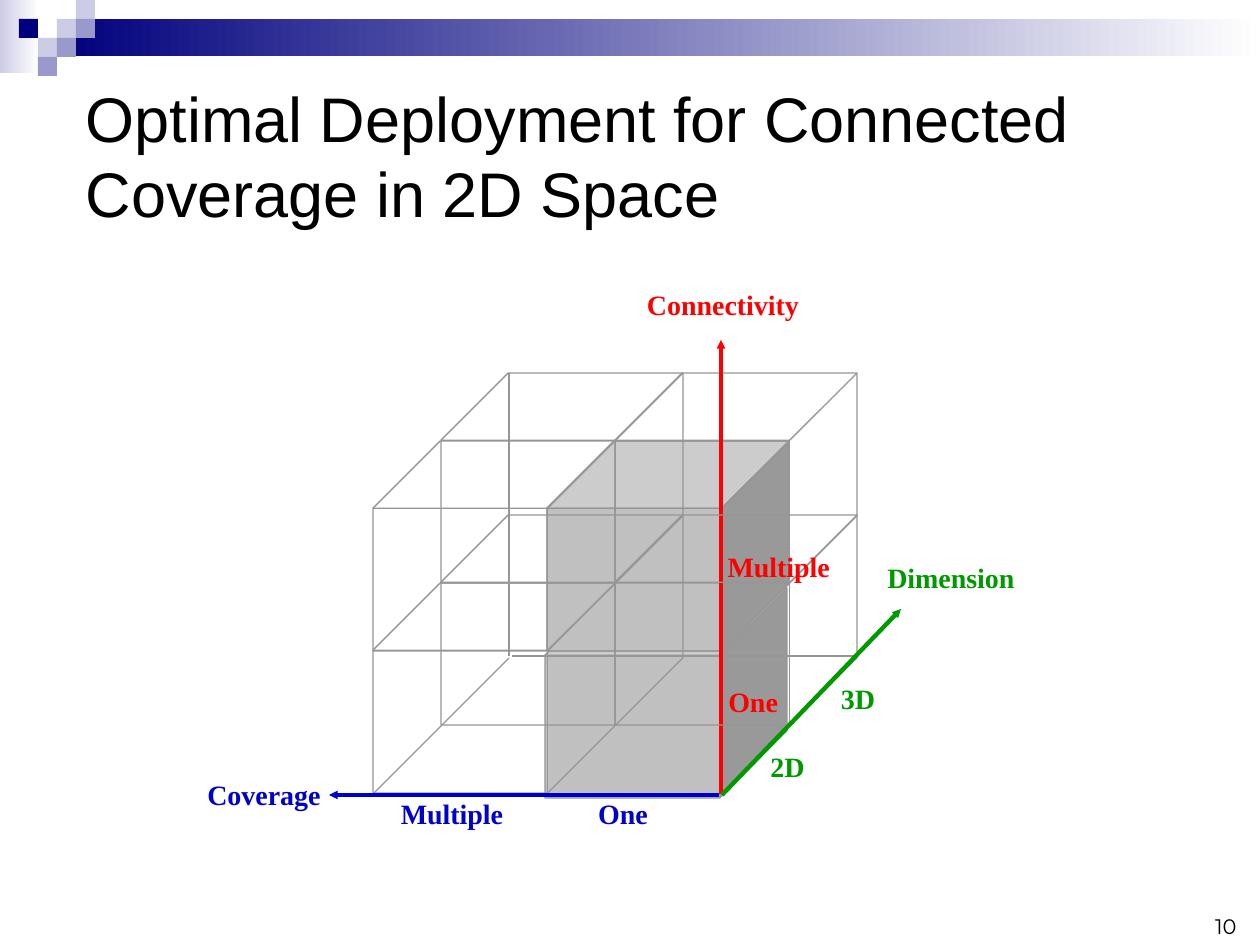
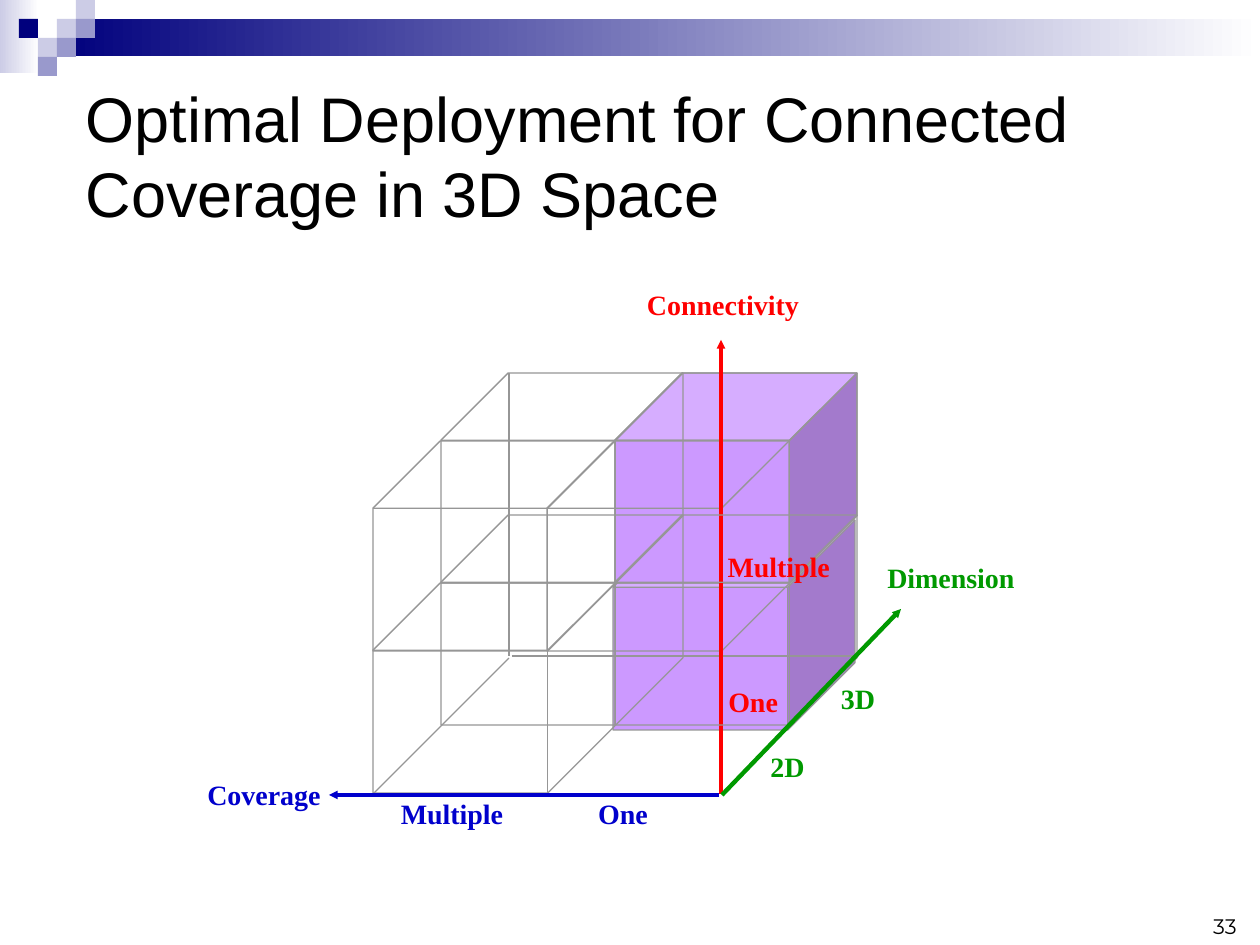
from typing import NamedTuple

import lxml.etree
import pptx
import pptx.dml.color
import pptx.dml.fill
import pptx.enum.shapes
import pptx.enum.text
import pptx.oxml.ns
import pptx.presentation
import pptx.slide
import pptx.text.text
import pptx.util

PX = 914400 / 126
SLIDE_WIDTH, SLIDE_HEIGHT = 1260, 945
TITLE_ONLY_LAYOUT = 5

BLACK = "000000"
NAVY = "00007D"
PERIWINKLE = "9999CC"
LAVENDER = "CCCCE6"
WHITE = "FFFFFF"
EDGE_GREY = "969696"
CONNECTIVITY_RED = "FF0000"
COVERAGE_BLUE = "0000CC"
DIMENSION_GREEN = "009900"

SQUARE = 19
CUBE_WIDTH, CUBE_HEIGHT = 242, 210
CUBE_DEPTH_RATIO = 0.32
COVERAGE_STEP = 174
CONNECTIVITY_STEP = 142
DEPTH_STEP = 68
ORIGIN_LEFT, ORIGIN_TOP = 373, 583

ALIGN = pptx.enum.text.PP_ALIGN
ANCHOR = pptx.enum.text.MSO_ANCHOR
SHAPE = pptx.enum.shapes.MSO_SHAPE


class Box(NamedTuple):
    left: int
    top: int
    width: int
    height: int


class Square(NamedTuple):
    column: int
    row: int
    color: str


class Cell(NamedTuple):
    coverage: int
    connectivity: int
    depth: int


class Line(NamedTuple):
    start: tuple[int, int]
    end: tuple[int, int]
    color: str = EDGE_GREY
    weight: float = 0.75
    arrow: bool = False


class Label(NamedTuple):
    text: str
    box: Box
    color: str
    alignment: ALIGN = ALIGN.CENTER


class CubeSlide(NamedTuple):
    title: str
    number: int
    highlight_depth: int
    highlight_color: str


SQUARES = [
    Square(3, 1, LAVENDER),
    Square(4, 0, LAVENDER),
    Square(4, 1, PERIWINKLE),
    Square(2, 2, LAVENDER),
    Square(1, 1, NAVY),
    Square(3, 2, PERIWINKLE),
    Square(2, 3, PERIWINKLE),
]

BACK_CELLS = [
    Cell(0, 0, 1),
    Cell(0, 1, 1),
    Cell(1, 1, 1),
    Cell(0, 0, 0),
    Cell(0, 1, 0),
    Cell(1, 1, 0),
]
FRONT_CELL = Cell(1, 0, 1)

HIDDEN_EDGES = [
    Line((509, 373), (509, 656)),
    Line((512, 656), (858, 656)),
    Line((509, 658), (373, 794)),
]
CONNECTIVITY_AXIS = Line((721, 794), (721, 340), CONNECTIVITY_RED, 2.5, True)
DIMENSION_AXIS = Line((722, 795), (901, 609), DIMENSION_GREEN, 2.5, True)
COVERAGE_AXIS = Line((719, 795), (329, 795), COVERAGE_BLUE, 2.5, True)

LABELS = [
    Label("Coverage", Box(201, 763, 126, 63), COVERAGE_BLUE),
    Label("Connectivity", Box(643, 273, 160, 63), CONNECTIVITY_RED),
    Label("Dimension", Box(881, 546, 140, 63), DIMENSION_GREEN),
    Label("3D", Box(816, 672, 84, 53), DIMENSION_GREEN),
    Label("2D", Box(742, 735, 91, 63), DIMENSION_GREEN),
    Label("Multiple", Box(397, 787, 110, 53), COVERAGE_BLUE),
    Label("One", Box(568, 787, 110, 53), COVERAGE_BLUE),
    Label("One", Box(694, 675, 84, 53), CONNECTIVITY_RED, ALIGN.RIGHT),
    Label("Multiple", Box(716, 540, 114, 53), CONNECTIVITY_RED, ALIGN.RIGHT),
]

SLIDES = [
    CubeSlide("Optimal Deployment for Connected Coverage in 2D Space", 10, 0, "C0C0C0"),
    CubeSlide("Optimal Deployment for Connected Coverage in 3D Space", 33, 1, "CC99FF"),
]


def px(length: float) -> int:
    return round(length * PX)


def emu_box(box: Box) -> list[int]:
    return [px(length) for length in box]


def rgb(color: str) -> pptx.dml.color.RGBColor:
    return pptx.dml.color.RGBColor.from_string(color)


def fill_solid(fill: pptx.dml.fill.FillFormat, color: str) -> None:
    fill.solid()
    fill.fore_color.rgb = rgb(color)


def add_band_part(slide: pptx.slide.Slide, box: Box, color: str, fades: bool = False) -> None:
    shape = slide.shapes.add_shape(SHAPE.RECTANGLE, *emu_box(box))
    shape.shadow.inherit = False
    shape.line.fill.background()
    if not fades:
        fill_solid(shape.fill, color)
        return
    shape.fill.gradient()
    shape.fill.gradient_angle = 0
    for stop, stop_color, position in zip(shape.fill.gradient_stops, (color, WHITE), (0, 1)):
        stop.color.rgb = rgb(stop_color)
        stop.position = position


def add_band(slide: pptx.slide.Slide) -> None:
    add_band_part(slide, Box(0, 0, 39, 73), LAVENDER, True)
    add_band_part(slide, Box(57, 19, 1203, 37), NAVY, True)
    for square in SQUARES:
        box = Box(square.column * SQUARE, square.row * SQUARE, SQUARE, SQUARE)
        add_band_part(slide, box, square.color)


def format_text(
    frame: pptx.text.text.TextFrame,
    text: str,
    font_name: str,
    size: int,
    color: str,
    alignment: ALIGN,
    anchor: ANCHOR,
    bold: bool = False,
) -> None:
    frame.text = text
    frame.vertical_anchor = anchor
    paragraph = frame.paragraphs[0]
    paragraph.alignment = alignment
    font = paragraph.runs[0].font
    font.name = font_name
    font.size = pptx.util.Pt(size)
    font.bold = bold
    font.color.rgb = rgb(color)


def set_title(slide: pptx.slide.Slide, text: str) -> None:
    title = slide.shapes.title
    title.left, title.top, title.width, title.height = emu_box(Box(73, 73, 1081, 164))
    frame = title.text_frame
    format_text(frame, text, "Arial", 36, BLACK, ALIGN.LEFT, ANCHOR.TOP)
    frame.word_wrap = True
    frame.auto_size = pptx.enum.text.MSO_AUTO_SIZE.NONE
    frame.paragraphs[0].line_spacing = pptx.util.Pt(43.2)


def add_slide_number(slide: pptx.slide.Slide, number: int) -> None:
    frame = slide.shapes.add_textbox(*emu_box(Box(955, 882, 294, 63))).text_frame
    frame.word_wrap = True
    format_text(frame, str(number), "Montserrat", 12, BLACK, ALIGN.RIGHT, ANCHOR.BOTTOM)


def add_cube(
    slide: pptx.slide.Slide, cell: Cell, color: str | None = None, shift: tuple[int, int] = (0, 0)
) -> None:
    left = ORIGIN_LEFT + COVERAGE_STEP * cell.coverage + DEPTH_STEP * cell.depth + shift[0]
    top = ORIGIN_TOP - CONNECTIVITY_STEP * cell.connectivity - DEPTH_STEP * cell.depth + shift[1]
    shape = slide.shapes.add_shape(SHAPE.CUBE, *emu_box(Box(left, top, CUBE_WIDTH, CUBE_HEIGHT)))
    shape.adjustments[0] = CUBE_DEPTH_RATIO
    shape.shadow.inherit = False
    shape.line.color.rgb = rgb(EDGE_GREY)
    shape.line.width = pptx.util.Pt(0.75)
    if color:
        fill_solid(shape.fill, color)
    else:
        shape.fill.background()


def add_line(slide: pptx.slide.Slide, line: Line) -> None:
    ends = [px(length) for length in (*line.start, *line.end)]
    connector = slide.shapes.add_connector(pptx.enum.shapes.MSO_CONNECTOR.STRAIGHT, *ends)
    connector.line.color.rgb = rgb(line.color)
    connector.line.width = pptx.util.Pt(line.weight)
    qualified = pptx.oxml.ns.qn
    properties = connector._element.spPr
    if line.arrow:
        outline = properties.find(qualified("a:ln"))
        lxml.etree.SubElement(outline, qualified("a:tailEnd"), type="triangle", w="sm", len="sm")
    lxml.etree.SubElement(properties, qualified("a:effectLst"))


def add_label(slide: pptx.slide.Slide, label: Label) -> None:
    frame = slide.shapes.add_textbox(*emu_box(label.box)).text_frame
    frame.word_wrap = False
    frame.margin_left = frame.margin_right = frame.margin_top = frame.margin_bottom = 0
    format_text(
        frame,
        label.text,
        "Times New Roman",
        16,
        label.color,
        label.alignment,
        ANCHOR.MIDDLE,
        bold=True,
    )


def add_diagram(slide: pptx.slide.Slide, content: CubeSlide) -> None:
    depth, color = content.highlight_depth, content.highlight_color
    add_cube(slide, Cell(1, 0, depth), color, shift=(-2, 5))
    add_cube(slide, Cell(1, 1, depth), color)
    for cell in BACK_CELLS:
        add_cube(slide, cell)
    for line in [*HIDDEN_EDGES, CONNECTIVITY_AXIS]:
        add_line(slide, line)
    add_cube(slide, FRONT_CELL)
    for label in LABELS:
        add_label(slide, label)
    for axis in (DIMENSION_AXIS, COVERAGE_AXIS):
        add_line(slide, axis)


def add_cube_slide(presentation: pptx.presentation.Presentation, content: CubeSlide) -> None:
    slide = presentation.slides.add_slide(presentation.slide_layouts[TITLE_ONLY_LAYOUT])
    set_title(slide, content.title)
    add_band(slide)
    add_slide_number(slide, content.number)
    add_diagram(slide, content)


def main() -> None:
    presentation = pptx.Presentation()
    presentation.slide_width = px(SLIDE_WIDTH)
    presentation.slide_height = px(SLIDE_HEIGHT)
    for content in SLIDES:
        add_cube_slide(presentation, content)
    presentation.save("out.pptx")


if __name__ == "__main__":
    main()
